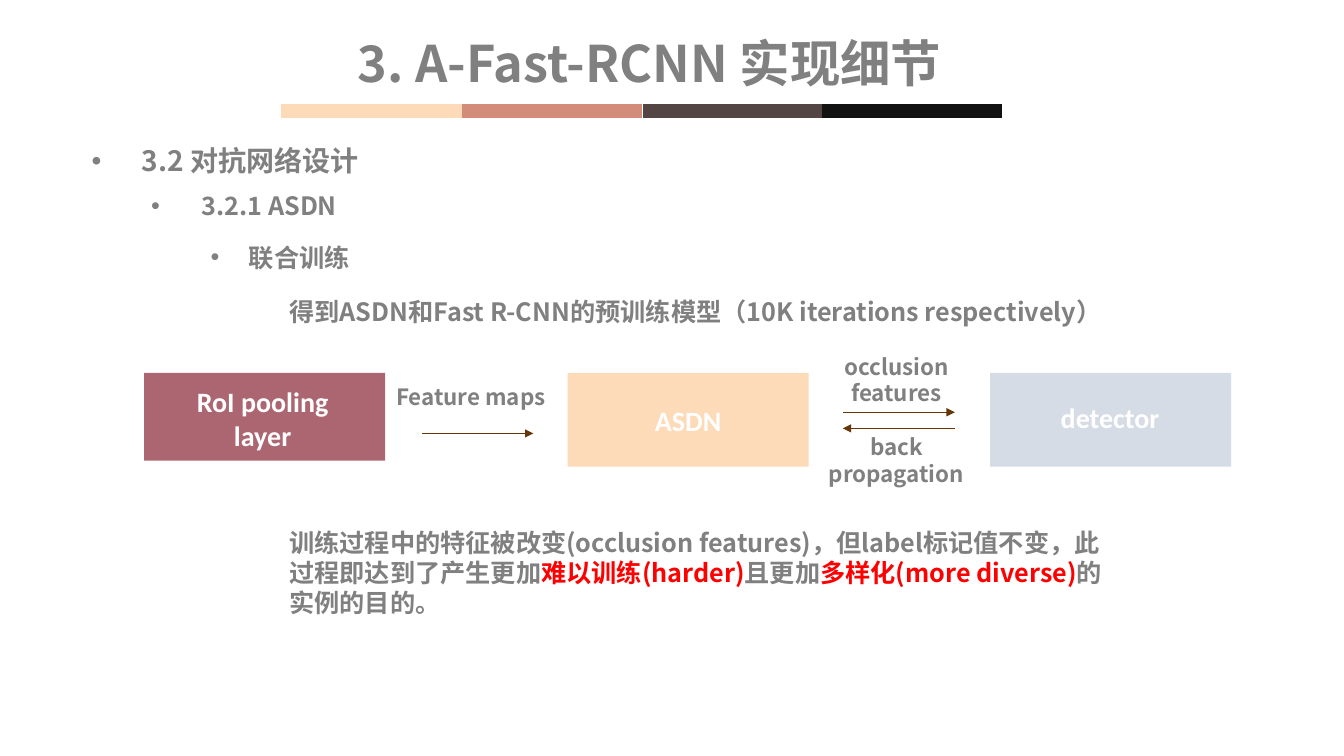
from lxml import etree
from pptx import Presentation
from pptx.dml.color import RGBColor
from pptx.enum.shapes import MSO_CONNECTOR as Connector, MSO_SHAPE as Shape
from pptx.enum.text import MSO_ANCHOR as Anchor, PP_ALIGN as Align
from pptx.oxml.ns import qn
from pptx.util import Inches, Pt

CJK_FONT = "Noto Sans CJK SC"
GREY, RED, WHITE, BROWN = "808080", "FF0000", "FFFFFF", "653607"


def color(hex_value):
    return RGBColor.from_string(hex_value)


def style(paragraph, size, font, text_color):
    """Set one bold font for Latin and East Asian text."""
    paragraph.font.size = Pt(size)
    paragraph.font.bold = True
    paragraph.font.name = font
    paragraph.font.color.rgb = color(text_color)
    properties = paragraph._p.get_or_add_pPr().find(qn("a:defRPr"))
    etree.SubElement(properties, qn("a:ea")).set("typeface", font)


def add_bullet(paragraph, indent):
    properties = paragraph._p.get_or_add_pPr()
    properties.set("marL", str(Inches(indent)))
    properties.set("indent", str(-Inches(indent)))
    etree.SubElement(properties, qn("a:buFont")).set("typeface", "Arial")
    etree.SubElement(properties, qn("a:buChar")).set("char", "•")


def add_text(slide, box, lines, size=18, font=CJK_FONT, text_color=GREY,
             align=Align.LEFT, anchor=Anchor.TOP, indent=None, spacing=None):
    """Each line is a list of (text, colour or None) runs."""
    frame = slide.shapes.add_textbox(*map(Inches, box)).text_frame
    frame.word_wrap = True
    frame.vertical_anchor = anchor
    for index, runs in enumerate(lines):
        paragraph = frame.paragraphs[0] if index == 0 else frame.add_paragraph()
        paragraph.alignment = align
        if spacing:
            paragraph.line_spacing = spacing
        if indent:
            add_bullet(paragraph, indent)
        style(paragraph, size, font, text_color)
        for text, run_color in runs:
            run = paragraph.add_run()
            run.text = text
            if run_color:
                run.font.color.rgb = color(run_color)


def add_label(slide, box, *lines, size=16, **options):
    add_text(slide, box, [[(line, None)] for line in lines], size=size,
             align=Align.CENTER, **options)


def add_block(slide, left, height, fill, text=""):
    block = slide.shapes.add_shape(
        Shape.RECTANGLE, Inches(left), Inches(3.7), Inches(2.39), Inches(height))
    block.shadow.inherit = False
    block.fill.solid()
    block.fill.fore_color.rgb = color(fill)
    block.line.fill.background()
    if text:
        paragraph = block.text_frame.paragraphs[0]
        paragraph.alignment = Align.CENTER
        style(paragraph, 20, "Calibri", WHITE)
        paragraph.add_run().text = text


def add_line(slide, start, end, y, line_color, width, arrow=False):
    line = slide.shapes.add_connector(
        Connector.STRAIGHT, Inches(start), Inches(y), Inches(end), Inches(y))
    line.line.color.rgb = color(line_color)
    line.line.width = Pt(width)
    if arrow:
        outline = line.line._get_or_add_ln()
        etree.SubElement(outline, qn("a:tailEnd")).set("type", "triangle")
    etree.SubElement(line._element.spPr, qn("a:effectLst"))


def main():
    presentation = Presentation()
    presentation.slide_width = Inches(13.33)
    presentation.slide_height = Inches(7.5)
    slide = presentation.slides.add_slide(presentation.slide_layouts[6])

    # Title and four-colour rule
    rule = [(2.79, "FDDAB8"), (4.58, "D28C79"), (6.38, "534544"), (8.15, "121212")]
    for left, rule_color in rule:
        add_line(slide, left, left + 1.79, 1.1, rule_color, 10)
    add_text(slide, (3.45, 0.34, 6.3, 0.63), [[("3. A-Fast-RCNN 实现细节", None)]],
             size=36, anchor=Anchor.MIDDLE, spacing=0.9)

    # Nested headings
    headings = [
        ((0.81, 1.41, 4.87, 0.4), "3.2 对抗网络设计", 20, 0.5, 0.9),
        ((1.4, 1.9, 2.38, 0.32), "3.2.1 ASDN", 18, 0.5, 0.9),
        ((1.99, 2.35, 2, 0.4), "联合训练", 18, 0.38, None),
    ]
    for box, text, size, indent, spacing in headings:
        add_text(slide, box, [[(text, None)]], size=size, anchor=Anchor.MIDDLE,
                 indent=indent, spacing=spacing)

    # Explanations above and below the diagram
    add_text(slide, (2.77, 2.89, 8.44, 0.4), [[
        ("得到ASDN和Fast R-CNN的预训练模型（10K iterations respectively）", None)]])
    add_text(slide, (2.77, 5.18, 8.44, 1.01), [[
        ("训练过程中的特征被改变(occlusion features)，但label标记值不变，"
         "此过程即达到了产生更加", None),
        ("难以训练(harder)", RED),
        ("且更加", None),
        ("多样化(more diverse)", RED),
        ("的实例的目的。", None)]])

    # Diagram blocks
    add_block(slide, 1.43, 0.87, "AC6672")
    add_block(slide, 5.63, 0.93, "FDDAB8", "ASDN")
    add_block(slide, 9.82, 0.93, "D6DCE5")
    block_text = dict(size=20, font="Calibri", text_color=WHITE)
    add_label(slide, (1.67, 3.77, 1.87, 0.77), "RoI pooling", "layer", **block_text)
    add_label(slide, (9.75, 3.92, 2.52, 0.44), "detector", **block_text)

    # Arrows and their labels
    for start, end, y in [(4.19, 5.29, 4.3), (8.36, 9.47, 4.09), (9.47, 8.36, 4.25)]:
        add_line(slide, start, end, y, BROWN, 0.5, arrow=True)
    add_label(slide, (3.41, 3.75, 2.52, 0.37), "Feature maps")
    add_label(slide, (7.65, 3.45, 2.48, 0.64), "occlusion", "features")
    add_label(slide, (7.65, 4.25, 2.48, 0.64), "back", "propagation")

    presentation.save("out.pptx")


if __name__ == "__main__":
    main()
